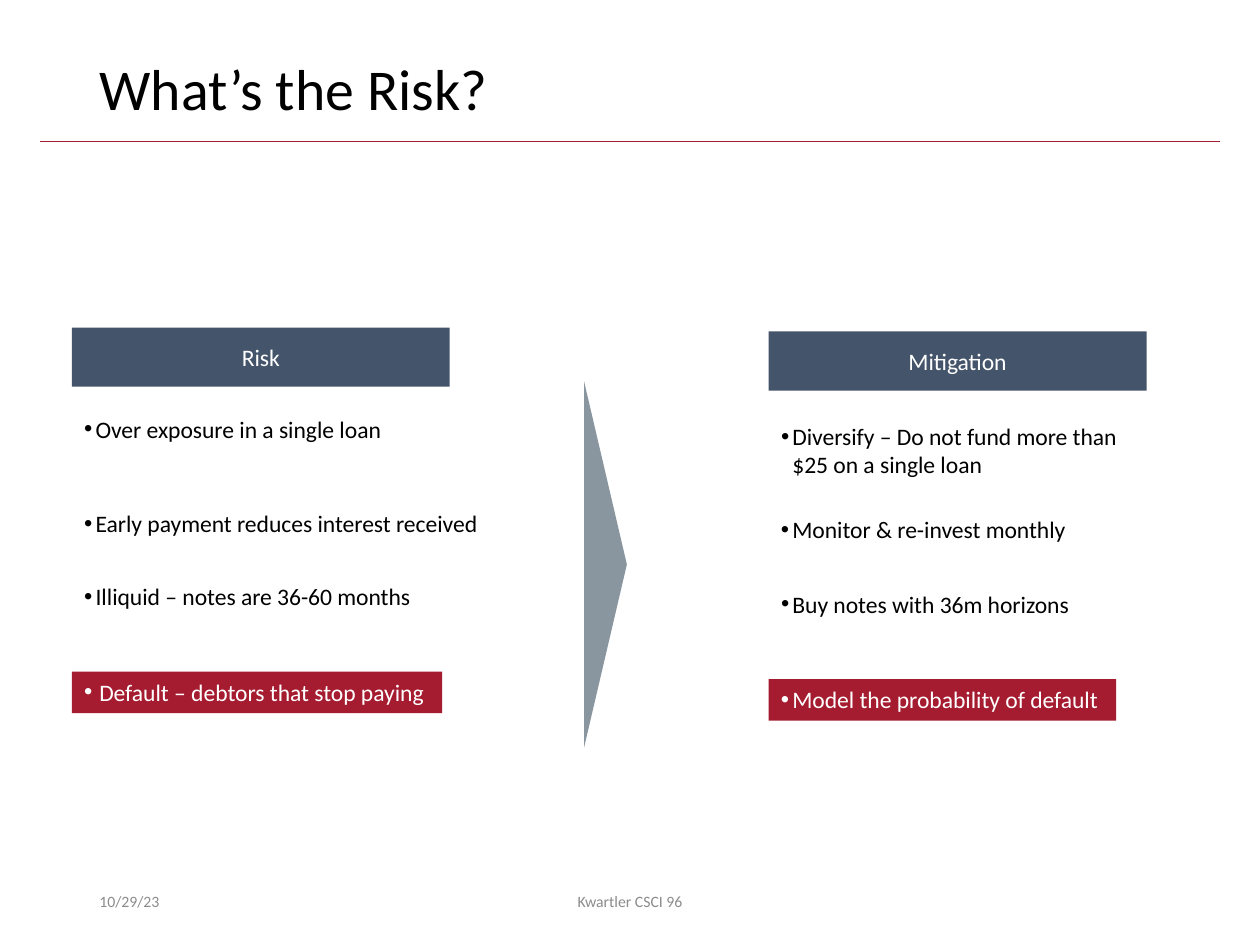
"""Build the slide that pairs lending risks with their mitigations."""
from lxml import etree
from pptx import Presentation
from pptx.dml.color import RGBColor
from pptx.enum.shapes import MSO_CONNECTOR, MSO_SHAPE
from pptx.enum.text import MSO_ANCHOR, MSO_AUTO_SIZE, PP_ALIGN
from pptx.oxml.ns import qn
from pptx.util import Inches, Pt

RECTANGLE, TRIANGLE = MSO_SHAPE.RECTANGLE, MSO_SHAPE.ISOSCELES_TRIANGLE
STRAIGHT = MSO_CONNECTOR.STRAIGHT
TOP, MIDDLE = MSO_ANCHOR.TOP, MSO_ANCHOR.MIDDLE
LEFT, CENTER = PP_ALIGN.LEFT, PP_ALIGN.CENTER
GROW = MSO_AUTO_SIZE.SHAPE_TO_FIT_TEXT

FONT = "Calibri"
BODY_SIZE = 13.5
COLORS = {"ink": "000000", "white": "FFFFFF", "header": "44546A",
          "crimson": "A51C30", "arrow": "8996A0", "footer": "8C8C8C"}

TITLE = ("What’s the Risk?", (0.69, 0.4, 8.62, 0.65))
FOOTERS = [("10/29/23", 0.69, 2.25, LEFT), ("Kwartler CSCI 96", 3.31, 3.38, CENTER)]
COLUMNS = [
    {"header": "Risk", "left": 0.57, "top": 2.6, "points": [
        ("Over exposure in a single loan", 3.24, 2.6),
        ("Early payment reduces interest received", 3.99, 3.38),
        ("Illiquid – notes are 36-60 months", 4.57, 2.83)],
     "key_point": ("Default – debtors that stop paying", 5.33, 2.94), "key_indent": 0.12},
    {"header": "Mitigation", "left": 6.1, "top": 2.63, "points": [
        ("Diversify – Do not fund more than $25 on a single loan", 3.3, 3.01),
        ("Monitor & re-invest monthly", 4.04, 2.5),
        ("Buy notes with 36m horizons", 4.63, 2.52)],
     "key_point": ("Model the probability of default", 5.39, 2.76), "key_indent": 0.09},
]
HEADER_SIZE = (3, 0.47)
POINT_HEIGHT, WRAPPED_HEIGHT = 0.33, 0.56
WRAP_FROM = 3
POINT_INDENT = 0.09


def rgb(name):
    return RGBColor.from_string(COLORS[name])


def add_block(page, frame, fill, kind=RECTANGLE):
    block = page.shapes.add_shape(kind, *map(Inches, frame))
    block.shadow.inherit = False
    block.fill.solid()
    block.fill.fore_color.rgb = rgb(fill)
    block.line.fill.background()
    return block


def add_bullet(para, indent):
    properties = para._p.get_or_add_pPr()
    properties.set("marL", str(Inches(indent)))
    properties.set("indent", str(-Inches(indent)))
    etree.SubElement(properties, qn("a:buFont")).set("typeface", "Arial")
    etree.SubElement(properties, qn("a:buChar")).set("char", "•")


def add_text(page, text, frame, size=BODY_SIZE, color="ink", fill=None,
             align=LEFT, anchor=MIDDLE, indent=None, wrap=True):
    if fill:
        box = add_block(page, frame, fill)
    else:
        box = page.shapes.add_textbox(*map(Inches, frame))
    body = box.text_frame
    body.text = text
    body.word_wrap = wrap
    body.vertical_anchor = anchor
    para = body.paragraphs[0]
    para.alignment = align
    if indent:
        body.auto_size = GROW
        add_bullet(para, indent)
    font = para.runs[0].font
    font.name, font.size, font.color.rgb = FONT, Pt(size), rgb(color)
    return para


def add_point(page, left, point, indent=POINT_INDENT, **style):
    text, top, width = point
    wrap = width > WRAP_FROM and text.startswith("Diversify")
    height = WRAPPED_HEIGHT if wrap else POINT_HEIGHT
    add_text(page, text, (left, top, width, height), anchor=TOP,
             indent=indent, wrap=wrap, **style)


def add_column(page, column):
    left = column["left"]
    add_text(page, column["header"], (left, column["top"], *HEADER_SIZE),
             color="white", fill="header", align=CENTER)
    for point in column["points"]:
        add_point(page, left, point)
    add_point(page, left, column["key_point"], column["key_indent"],
              color="white", fill="crimson")


def main():
    deck = Presentation()
    deck.slide_width, deck.slide_height = Inches(10), Inches(7.5)
    page = deck.slides.add_slide(deck.slide_layouts[6])

    rule = page.shapes.add_connector(STRAIGHT, *map(Inches, (0.32, 1.12, 9.68, 1.12)))
    rule.line.color.rgb = rgb("crimson")
    rule.line.width = Pt(0.5)
    etree.SubElement(rule._element.spPr, qn("a:effectLst"))

    add_text(page, *TITLE, size=33).line_spacing = 0.9
    for column in COLUMNS:
        add_column(page, column)
    add_block(page, (3.35, 4.31, 2.91, 0.34), "arrow", TRIANGLE).rotation = 90
    for text, left, width, align in FOOTERS:
        add_text(page, text, (left, 6.95, width, 0.4), 9, "footer", align=align)

    deck.save("out.pptx")


if __name__ == "__main__":
    main()
